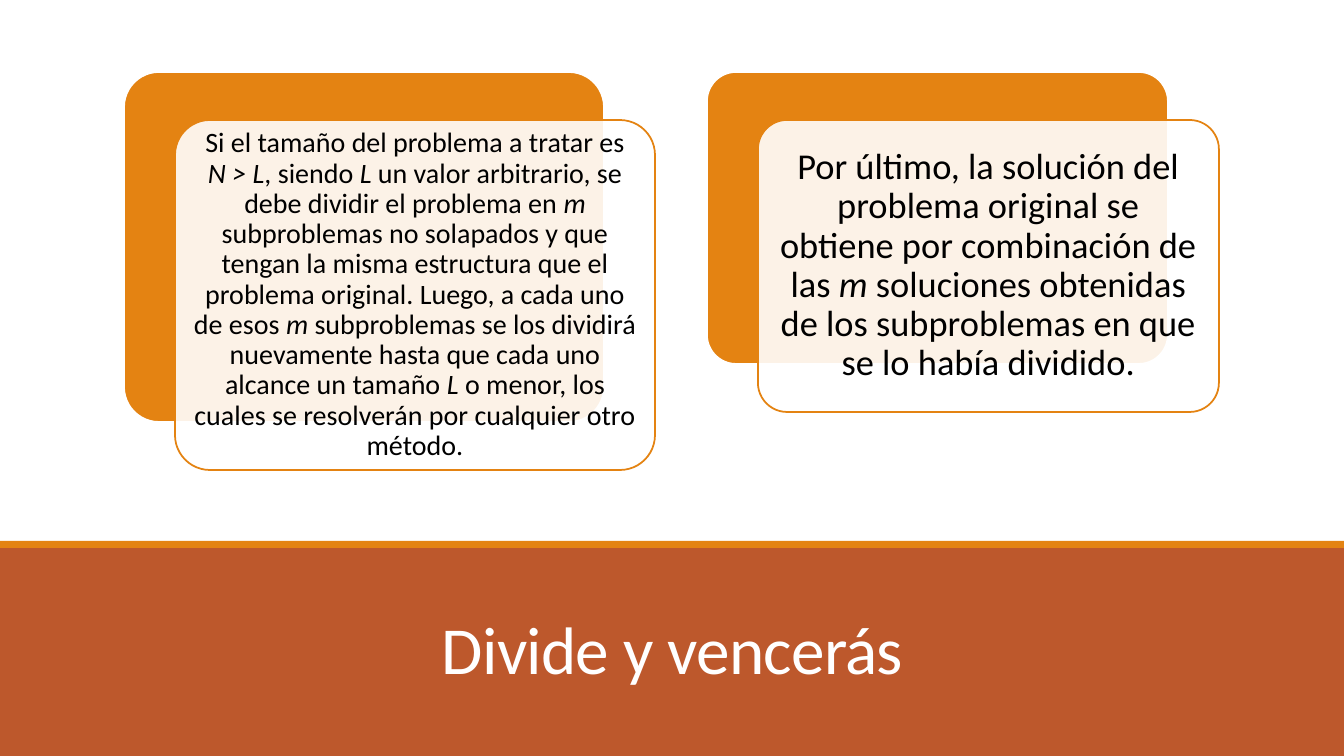
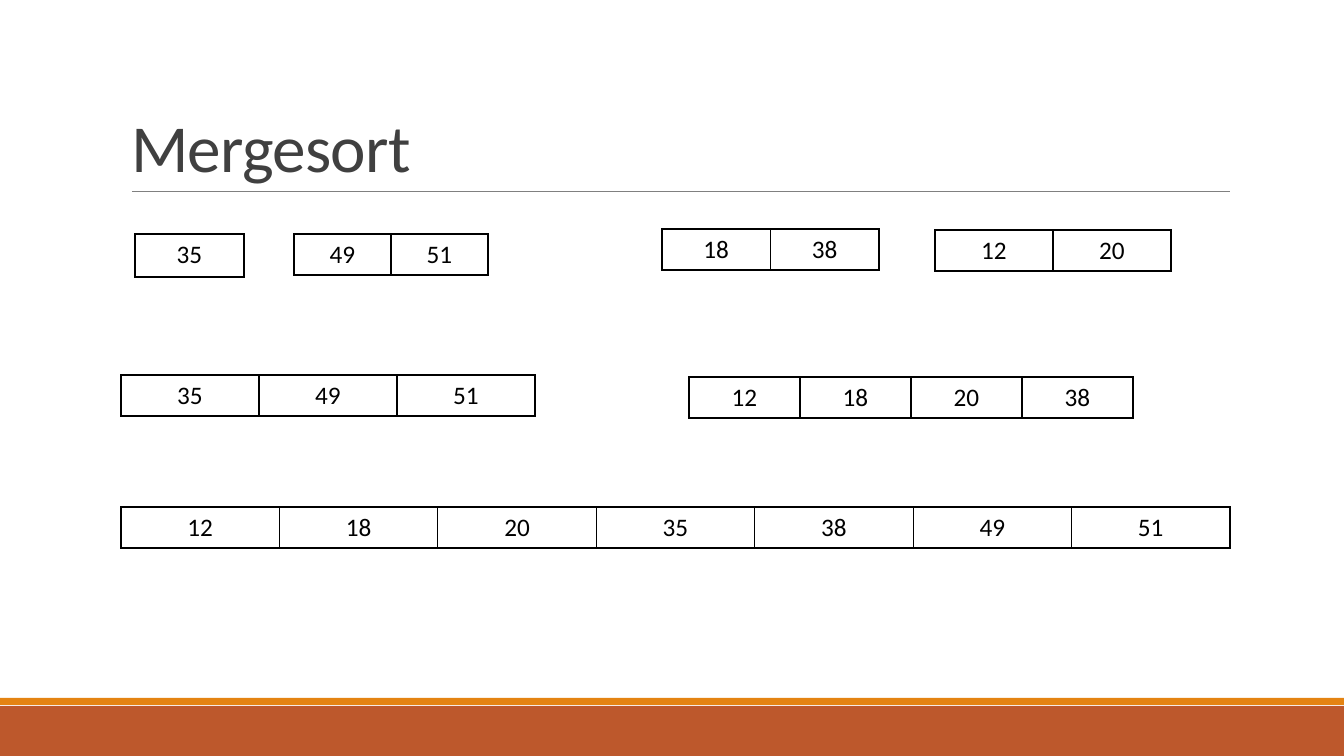
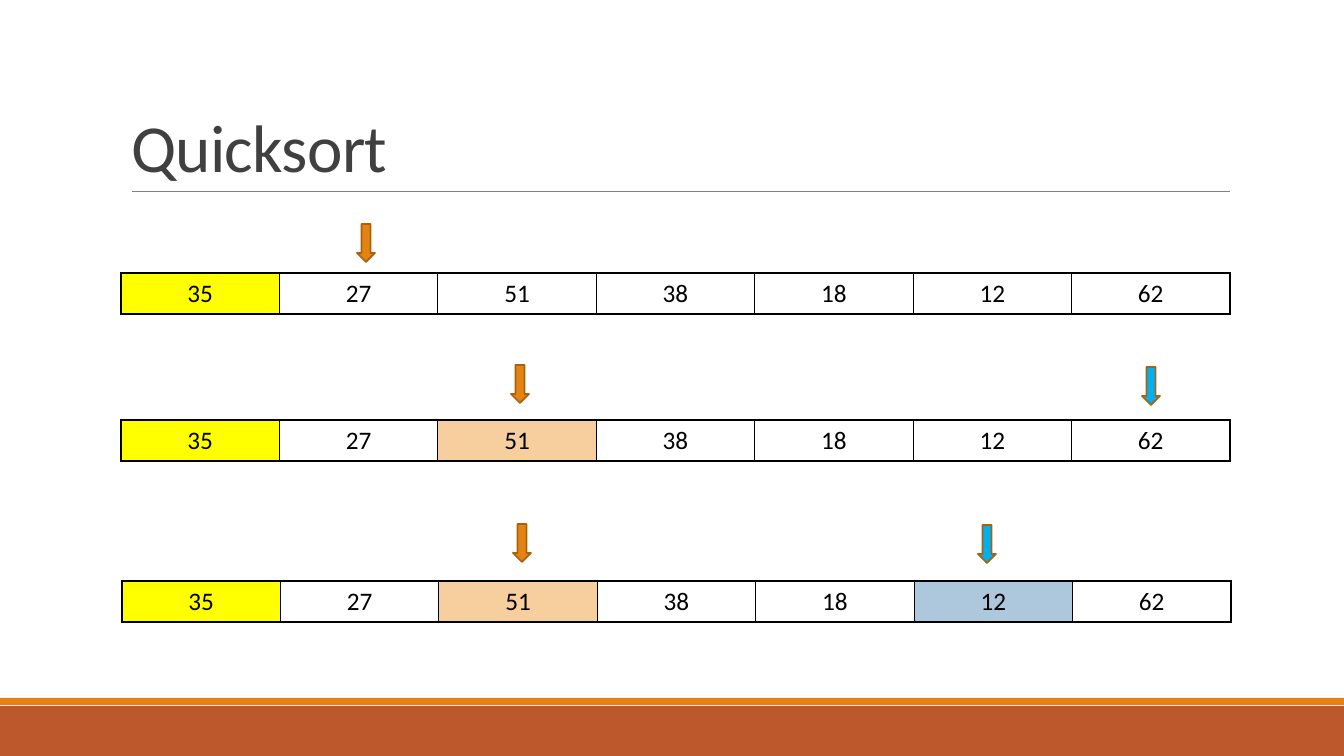
import pptx
import pptx.dml.color
import pptx.enum.shapes
import pptx.enum.text
import pptx.oxml
import pptx.oxml.ns
import pptx.util

SHAPES = pptx.enum.shapes.MSO_SHAPE
ALIGN = pptx.enum.text.PP_ALIGN
ANCHOR = pptx.enum.text.MSO_ANCHOR


def pixels(length):
    return pptx.util.Emu(round(length * 914400 / 100.8))


def color(value):
    return pptx.dml.color.RGBColor.from_string(value)


def element(markup):
    name, _, rest = markup.partition(">")
    return pptx.oxml.parse_xml(f"<{name} {pptx.oxml.ns.nsdecls('a')}>{rest}")


class Deck:
    FONT = "Calibri"
    RUST = "BD582C"
    ORANGE = "E48312"
    WHITE = "FFFFFF"
    BLACK = "000000"
    GRAY = "404040"
    RULE = "808080"
    BROWN = "A9610D"
    BLUE = "00B0F0"
    YELLOW = "FFFF00"
    PEACH = "F7CE9D"
    PALE_BLUE = "ADC8DD"
    WIDTH = 1344
    HEIGHT = 756

    def __init__(self):
        self.deck = pptx.Presentation()
        self.deck.slide_width = pixels(self.WIDTH)
        self.deck.slide_height = pixels(self.HEIGHT)
        self.page = None

    def add_page(self):
        self.page = self.deck.slides.add_slide(self.deck.slide_layouts[5])

    def style(self, para, size, ink, align, spacing=None):
        para.alignment = align
        para.line_spacing = spacing
        para.font.name = self.FONT
        para.font.size = pptx.util.Pt(size)
        para.font.color.rgb = color(ink)

    def title(self, text, left, top, height, ink, align):
        box = self.page.shapes.title
        box.left, box.top = pixels(left), pixels(top)
        box.width, box.height = pixels(1109), pixels(height)
        self.page.shapes._spTree.append(box._element)
        frame = box.text_frame
        frame.auto_size = pptx.enum.text.MSO_AUTO_SIZE.NONE
        frame.vertical_anchor = ANCHOR.BOTTOM
        para = frame.paragraphs[0]
        span = para.add_run()
        span.text = text
        span.font._element.set("spc", "-50")
        self.style(para, 48, ink, align, 0.85)

    def shape(self, kind, left, top, width, height, fill, line=None):
        box = self.page.shapes.add_shape(
            kind, pixels(left), pixels(top), pixels(width), pixels(height))
        box.shadow.inherit = False
        box.fill.solid()
        box.fill.fore_color.rgb = color(fill)
        if line:
            box.line.color.rgb = color(line)
            box.line.width = pptx.util.Pt(1.25)
        else:
            box.line.fill.background()
        return box

    def bands(self, panel_top, band_top):
        self.shape(SHAPES.RECTANGLE, 0, panel_top, self.WIDTH,
                   self.HEIGHT - panel_top, self.RUST)
        self.shape(SHAPES.RECTANGLE, 0, band_top, self.WIDTH, 7, self.ORANGE)

    def rule(self, left, right, top):
        line = self.page.shapes.add_connector(
            pptx.enum.shapes.MSO_CONNECTOR.STRAIGHT,
            pixels(left), pixels(top), pixels(right), pixels(top))
        line.line.color.rgb = color(self.RULE)
        line.line.width = pptx.util.Pt(0.5)
        line._element.spPr.append(element("a:effectLst></a:effectLst>"))

    def card(self, left, width, height, size, inset, text):
        back = self.shape(SHAPES.ROUNDED_RECTANGLE, left, 72, width, height,
                          self.ORANGE, self.WHITE)
        front = self.shape(SHAPES.ROUNDED_RECTANGLE, left + 51, 120, width,
                           height, self.WHITE, self.ORANGE)
        for box in (back, front):
            box.adjustments[0] = 0.1
        fill = front._element.spPr.find(pptx.oxml.ns.qn("a:solidFill"))
        alpha = element("a:alpha></a:alpha>")
        alpha.set("val", "90000")
        fill[0].append(alpha)
        frame = front.text_frame
        frame.word_wrap = True
        frame.vertical_anchor = ANCHOR.MIDDLE
        frame.margin_left = frame.margin_right = pixels(inset)
        frame.margin_top = frame.margin_bottom = pixels(inset)
        para = frame.paragraphs[0]
        for index, piece in enumerate(text.split("*")):
            span = para.add_run()
            span.text = piece
            span.font.italic = index % 2 == 1
        self.style(para, size, self.BLACK, ALIGN.CENTER, 0.9)

    def array(self, left, top, width, values, fills={}, height=41):
        table = self.page.shapes.add_table(
            1, len(values), pixels(left), pixels(top),
            pixels(width), pixels(height)).table
        table.first_row = False
        table.horz_banding = False
        for index, value in enumerate(values):
            cell = table.cell(0, index)
            cell.text = str(value)
            self.style(cell.text_frame.paragraphs[0], 18, self.BLACK, ALIGN.CENTER)
            if index in fills:
                cell.fill.solid()
                cell.fill.fore_color.rgb = color(fills[index])
            else:
                cell.fill.background()
            self.borders(cell)

    def borders(self, cell):
        properties = cell._tc.get_or_add_tcPr()
        for place, side in enumerate("LRTB"):
            border = element(
                f'a:ln{side}><a:solidFill><a:srgbClr val="{self.BLACK}"/>'
                f"</a:solidFill></a:ln{side}>")
            border.set("w", str(pptx.util.Pt(1)))
            properties.insert(place, border)

    def arrow(self, left, top, fill):
        self.shape(SHAPES.DOWN_ARROW, left, top, 18, 38, fill, self.BROWN)

    def sorting_page(self, name):
        self.add_page()
        self.bands(706, 698)
        self.rule(132, 1230, 191)
        self.title(name, 121, 31, 160, self.GRAY, ALIGN.LEFT)


show = Deck()

show.add_page()
show.bands(546, 541)
show.title("Divide y vencerás", 118, 579, 114, show.WHITE, ALIGN.CENTER)
show.card(
    124, 480, 350, 20, 8,
    "Si el tamaño del problema a tratar es *N > L*, siendo *L *un valor "
    "arbitrario, se debe dividir el problema en *m *subproblemas no solapados "
    "y que tengan la misma estructura que el problema original. Luego, a cada "
    "uno de esos *m *subproblemas se los dividirá nuevamente hasta que cada "
    "uno alcance un tamaño *L *o menor, los cuales se resolverán por cualquier "
    "otro método.")
show.card(
    707, 461, 292, 26, 11,
    "Por último, la solución del problema original se obtiene por combinación "
    "de las *m *soluciones obtenidas de los subproblemas en que se lo había "
    "dividido.")

show.sorting_page("Mergesort")
show.array(121, 507, 1109, [12, 18, 20, 35, 38, 49, 51])
show.array(121, 375, 414, [35, 49, 51])
show.array(689, 377, 444, [12, 18, 20, 38])
show.array(294, 234, 194, [49, 51])
show.array(662, 229, 217, [18, 38])
show.array(935, 230, 236, [12, 20])
show.array(135, 234, 109, [35], height=43)

show.sorting_page("Quicksort")
numbers = [35, 27, 51, 38, 18, 12, 62]
pivot = {0: show.YELLOW}
larger = {**pivot, 2: show.PEACH}
swap = {**larger, 5: show.PALE_BLUE}
for left, top, fills in ((121, 273, pivot), (121, 420, larger), (122, 581, swap)):
    show.array(left, top, 1109, numbers, fills)
for left, top in ((357, 224), (511, 365), (513, 524)):
    show.arrow(left, top, show.ORANGE)
for left, top in ((1142, 367), (978, 525)):
    show.arrow(left, top, show.BLUE)

show.deck.save("out.pptx")
